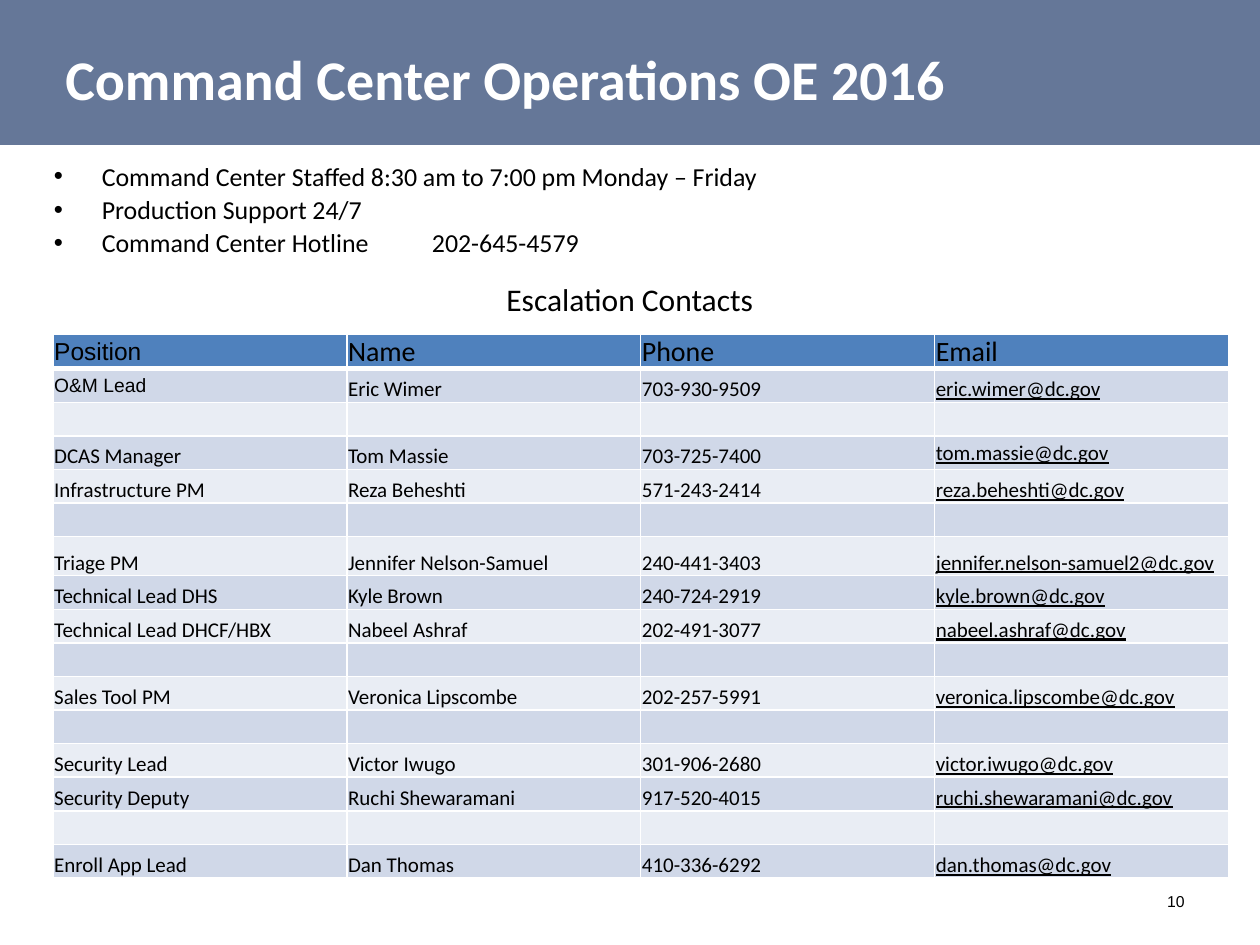
import pptx
import pptx.util
import pptx.dml.color
import pptx.enum.shapes
import pptx.enum.text
import pptx.oxml.ns
from lxml import etree

Inches, Pt = pptx.util.Inches, pptx.util.Pt
qn = pptx.oxml.ns.qn
ANCHOR = pptx.enum.text.MSO_ANCHOR
ALIGN = pptx.enum.text.PP_ALIGN

COLORS = {"banner": "657798", "header": "4F81BD", "band": "D0D8E8",
          "light": "E9EDF4", "white": "FFFFFF", "black": "000000"}


def write(para, text, color="black", **values):
    """Add a run to the paragraph and give it its format."""
    span = para.add_run()
    span.text = text
    span.font.color.rgb = pptx.dml.color.RGBColor.from_string(COLORS[color])
    for name, value in values.items():
        setattr(span.font, name, value)


def add_box(page, left, top, width, height, **values):
    """Add a text box and return its text frame."""
    box = page.shapes.add_textbox(Inches(left), Inches(top), Inches(width), Inches(height))
    frame = box.text_frame
    frame.word_wrap = True
    for name, value in values.items():
        setattr(frame, name, value)
    return frame


deck = pptx.Presentation()
deck.slide_width, deck.slide_height = Inches(10), Inches(7.5)
page = deck.slides.add_slide(deck.slide_layouts[6])

# Banner and title
banner = page.shapes.add_shape(pptx.enum.shapes.MSO_SHAPE.RECTANGLE,
                               0, 0, deck.slide_width, Inches(1.15))
banner.shadow.inherit = False
banner.fill.solid()
banner.fill.fore_color.rgb = pptx.dml.color.RGBColor.from_string(COLORS["banner"])
banner.line.fill.background()
title = add_box(page, 0.42, 0.33, 7.83, 0.58, vertical_anchor=ANCHOR.MIDDLE)
write(title.paragraphs[0], "Command Center Operations OE 2016", "white",
      size=Pt(32), name="Calibri", bold=True)

# Support hours
hours = add_box(page, 0.33, 1.25, 8.42, 0.9)
for index, text in enumerate([
        "Command Center Staffed 8:30 am to 7:00 pm Monday – Friday",
        "Production Support 24/7",
        "Command Center Hotline \t202-645-4579"]):
    para = hours.add_paragraph() if index else hours.paragraphs[0]
    props = para._p.get_or_add_pPr()
    props.set("marL", str(Inches(0.38)))
    props.set("indent", str(-Inches(0.38)))
    etree.SubElement(props, qn("a:buFont"), typeface="Arial")
    etree.SubElement(props, qn("a:buChar"), char="•")
    para.line_spacing = 0.9
    if index:
        para.space_before = Pt(3)
    write(para, text, size=Pt(14.8), name="Calibri")

# Contact table: None is an empty spacer row
contacts = [
    ("Position", "Name", "Phone", "Email"),
    ("O&M Lead", "Eric Wimer", "703-930-9509", "eric.wimer@dc.gov"),
    None,
    ("DCAS Manager", "Tom Massie", "703-725-7400", "tom.massie@dc.gov"),
    ("Infrastructure PM", "Reza Beheshti", "571-243-2414", "reza.beheshti@dc.gov"),
    None,
    ("Triage PM", "Jennifer Nelson-Samuel", "240-441-3403", "jennifer.nelson-samuel2@dc.gov"),
    ("Technical Lead DHS", "Kyle Brown", "240-724-2919", "kyle.brown@dc.gov"),
    ("Technical Lead DHCF/HBX", "Nabeel Ashraf", "202-491-3077", "nabeel.ashraf@dc.gov"),
    None,
    ("Sales Tool PM", "Veronica Lipscombe", "202-257-5991", "veronica.lipscombe@dc.gov"),
    None,
    ("Security Lead", "Victor Iwugo", "301-906-2680", "victor.iwugo@dc.gov"),
    ("Security Deputy", "Ruchi Shewaramani", "917-520-4015", "ruchi.shewaramani@dc.gov"),
    None,
    ("Enroll App Lead", "Dan Thomas", "410-336-6292", "dan.thomas@dc.gov"),
]
TRIAGE_ROW = 6
ARIAL_SIZES = {(0, 0): 14, (1, 0): 11}
MIDDLE_CELLS = {(0, 0), (1, 0), (3, 3)}
MARGINS = {"margin_left": Inches(0.01), "margin_right": Inches(0.01),
           "margin_top": Inches(0.01), "margin_bottom": 0}

table = page.shapes.add_table(len(contacts), 4, Inches(0.42), Inches(2.65),
                              Inches(9.33), Inches(4.31)).table
table.first_row = table.horz_banding = False
for row, contact in enumerate(contacts):
    table.rows[row].height = Inches(0.31 if row == TRIAGE_ROW else 4 / 15)
    shade = "header" if row == 0 else "band" if row % 2 else "light"
    for col, text in enumerate(contact or [""] * 4):
        cell = table.cell(row, col)
        for name, value in MARGINS.items():
            setattr(cell, name, value)
        place = (row, col)
        cell.vertical_anchor = ANCHOR.MIDDLE if place in MIDDLE_CELLS else ANCHOR.BOTTOM

        # White borders, thicker below the header
        props = cell._tc.get_or_add_tcPr()
        for side in ("lnL", "lnR", "lnT", "lnB"):
            thick = (row, side) in {(0, "lnB"), (1, "lnT")}
            border = etree.SubElement(props, qn("a:" + side), w=str(Pt(3 if thick else 1)))
            paint = etree.SubElement(border, qn("a:solidFill"))
            etree.SubElement(paint, qn("a:srgbClr"), val=COLORS["white"])
        cell.fill.solid()
        cell.fill.fore_color.rgb = pptx.dml.color.RGBColor.from_string(COLORS[shade])

        para = cell.text_frame.paragraphs[0]
        if text:
            size = ARIAL_SIZES.get(place, 12 if row else 16)
            write(para, text, size=Pt(size), bold=False,
                  name="Arial" if place in ARIAL_SIZES else "Calibri",
                  underline=row > 0 and col == 3)
        else:
            etree.SubElement(para._p, qn("a:endParaRPr"), sz="1200")
for column in table.columns:
    column.width = Inches(9.33 / 4)

# Table heading
heading = add_box(page, 3.92, 2.17, 2.19, 0.4, word_wrap=False,
                  auto_size=pptx.enum.text.MSO_AUTO_SIZE.SHAPE_TO_FIT_TEXT)
write(heading.paragraphs[0], "Escalation Contacts", size=Pt(18), name="Calibri")

# Page number
number = add_box(page, 7.17, 6.95, 2.33, 0.4, vertical_anchor=ANCHOR.MIDDLE)
number.paragraphs[0].alignment = ALIGN.RIGHT
write(number.paragraphs[0], "10", size=Pt(9), name="Arial")

deck.save("out.pptx")
